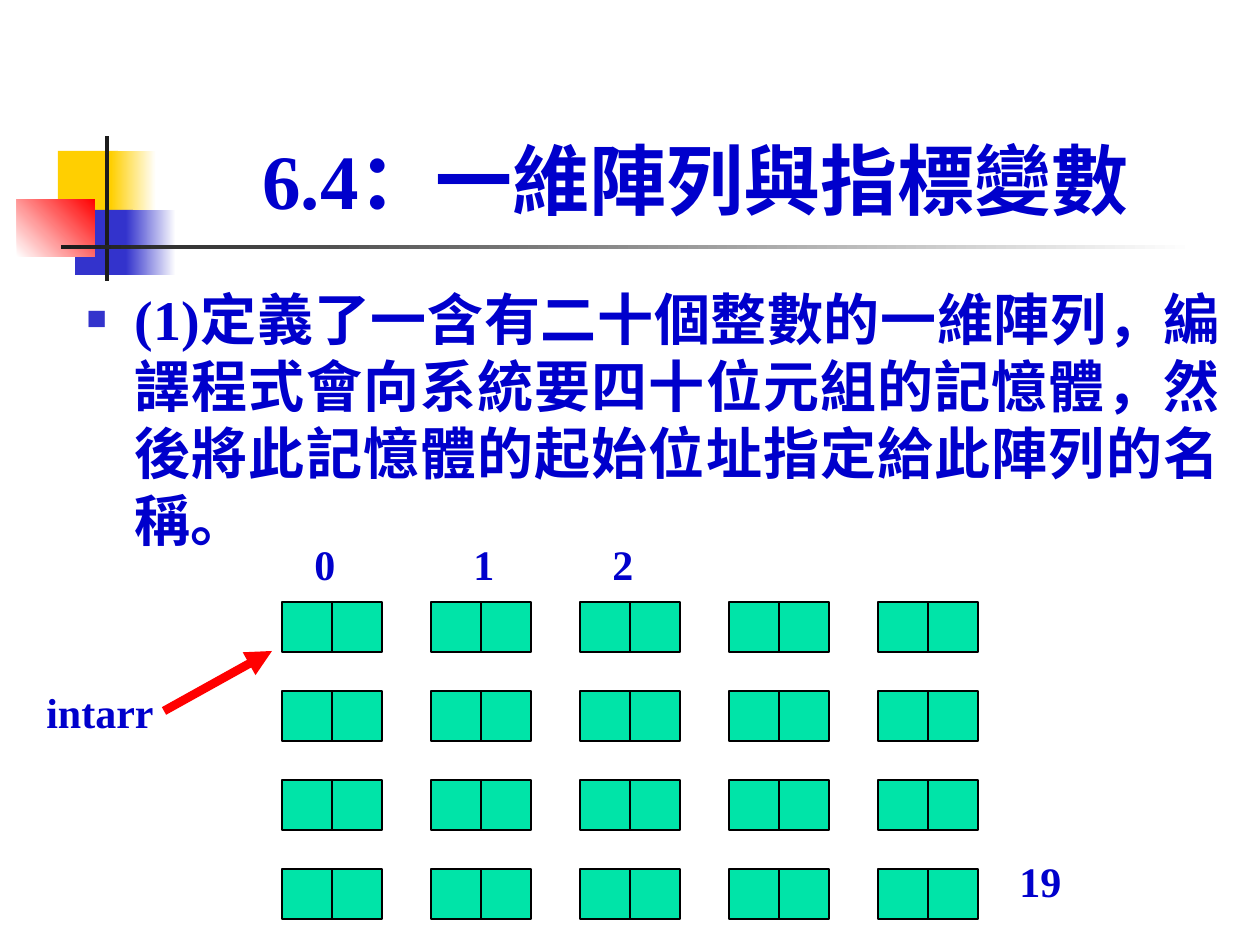
from lxml import etree
from pptx import Presentation
from pptx.dml.color import RGBColor
from pptx.enum.shapes import MSO_CONNECTOR, MSO_SHAPE
from pptx.enum.text import MSO_ANCHOR, MSO_AUTO_SIZE, PP_ALIGN
from pptx.oxml.ns import qn
from pptx.util import Emu, Pt

RECTANGLE = MSO_SHAPE.RECTANGLE
STRAIGHT = MSO_CONNECTOR.STRAIGHT
TOP, BOTTOM = MSO_ANCHOR.TOP, MSO_ANCHOR.BOTTOM
LEFT, CENTER, JUSTIFY = PP_ALIGN.LEFT, PP_ALIGN.CENTER, PP_ALIGN.JUSTIFY
NO_FIT = MSO_AUTO_SIZE.NONE

EMU_PER_PX = 914400 / 126
FONT = "Times New Roman"
TEXT_BLUE = "0000CC"
SQUARE_BLUE = "3333CC"
YELLOW = "FFCF01"
RED = "FF0000"
WHITE = "FFFFFF"
BLACK = "000000"
CHARCOAL = "1C1C1C"
GREEN = "00E4A8"

# left, top, width, height, colours (two make a gradient), gradient angle
DECORATION = [
    (58, 151, 60, 66, [YELLOW], 0),
    (111, 151, 45, 66, [YELLOW, WHITE], 0),
    (75, 210, 58, 65, [SQUARE_BLUE], 0),
    (126, 210, 50, 65, [SQUARE_BLUE, WHITE], 0),
    (17, 199, 78, 58, [WHITE, RED], 45),
    (105, 136, 4, 145, [CHARCOAL], 0),
    (61, 245, 1134, 4, [CHARCOAL, WHITE], 0),
]

ROWS, COLUMNS, BYTES_PER_INT = 4, 5, 2
GRID_LEFT, GRID_TOP = 282, 602
COLUMN_PITCH, ROW_PITCH, CELL = 149, 89, 50

LABELS = [
    ("intarr", 34, 680, 199),
    ("0", 302, 532, 49),
    ("1", 461, 532, 49),
    ("2", 600, 532, 49),
    ("19", 1007, 849, 110),
]
LABEL_HEIGHT = 63


def px(value):
    return Emu(round(value * EMU_PER_PX))


def color(hex_string):
    return RGBColor.from_string(hex_string)


def add_rectangle(page, left, top, width, height, colors, angle=0, outline=None):
    shape = page.shapes.add_shape(RECTANGLE, px(left), px(top), px(width), px(height))
    shape.shadow.inherit = False
    if len(colors) == 1:
        shape.fill.solid()
        shape.fill.fore_color.rgb = color(colors[0])
    else:
        shape.fill.gradient()
        shape.fill.gradient_angle = angle
        for stop, hex_string, position in zip(shape.fill.gradient_stops, colors, (0, 1)):
            stop.color.rgb = color(hex_string)
            stop.position = position
    if outline:
        shape.line.color.rgb = color(outline)
        shape.line.width = Pt(0.75)
    else:
        shape.line.fill.background()


def add_array(page):
    """Draw every integer of the array as a pair of adjoining byte cells."""
    for row in range(ROWS):
        for column in range(COLUMNS):
            for byte in range(BYTES_PER_INT):
                left = GRID_LEFT + column * COLUMN_PITCH + byte * CELL
                top = GRID_TOP + row * ROW_PITCH
                add_rectangle(page, left, top, CELL, CELL, [GREEN], outline=BLACK)


def add_arrow(page, start, end):
    arrow = page.shapes.add_connector(STRAIGHT, *map(px, start + end))
    arrow.line.color.rgb = color(RED)
    arrow.line.width = Pt(5)
    etree.SubElement(arrow.line._get_or_add_ln(), qn("a:tailEnd"), type="triangle")
    etree.SubElement(arrow._element.spPr, qn("a:effectLst"))


def place(box, left, top, width, height):
    box.left, box.top, box.width, box.height = map(px, (left, top, width, height))


def write(box, text, size, align=LEFT, anchor=TOP):
    """Fill the first paragraph of a box and return it."""
    frame = box.text_frame
    frame.word_wrap = True
    frame.auto_size = NO_FIT
    frame.vertical_anchor = anchor
    para = frame.paragraphs[0]
    para.alignment = align
    para.space_before = Pt(0)
    span = para.add_run()
    span.text = text
    span.font.name = FONT
    span.font.size = Pt(size)
    span.font.bold = True
    span.font.color.rgb = color(TEXT_BLUE)
    return para


def add_bullet(para, indent):
    properties = para._p.get_or_add_pPr()
    properties.set("marL", str(px(indent)))
    properties.set("indent", str(-px(indent)))
    bullet_color = etree.SubElement(properties, qn("a:buClr"))
    etree.SubElement(bullet_color, qn("a:srgbClr"), val=SQUARE_BLUE)
    etree.SubElement(properties, qn("a:buSzPct"), val="60000")
    etree.SubElement(properties, qn("a:buFont"), typeface=FONT)
    etree.SubElement(properties, qn("a:buChar"), char="■")


def add_label(page, text, left, top, width):
    box = page.shapes.add_textbox(px(left), px(top), px(width), px(LABEL_HEIGHT))
    write(box, text, 24)


def main():
    deck = Presentation()
    deck.slide_width, deck.slide_height = px(1260), px(945)
    page = deck.slides.add_slide(deck.slide_layouts[1])
    title, body = page.placeholders

    for left, top, width, height, colors, angle in DECORATION:
        add_rectangle(page, left, top, width, height, colors, angle)

    # Keep the headings in front of the decoration
    for box in (title, body):
        page.shapes._spTree.append(box._element)

    place(title, 159, 29, 1074, 202)
    write(title, "6.4：一維陣列與指標變數", 44, CENTER, BOTTOM)

    place(body, 74, 278, 1159, 294)
    definition = write(
        body,
        "(1)定義了一含有二十個整數的一維陣列，編譯程式會向系統要四十位元組的記憶體，"
        "然後將此記憶體的起始位址指定給此陣列的名稱。",
        32,
        JUSTIFY,
    )
    add_bullet(definition, 48)

    add_array(page)
    add_arrow(page, (164, 711), (272, 651))
    for label in LABELS:
        add_label(page, *label)

    deck.save("out.pptx")


if __name__ == "__main__":
    main()
